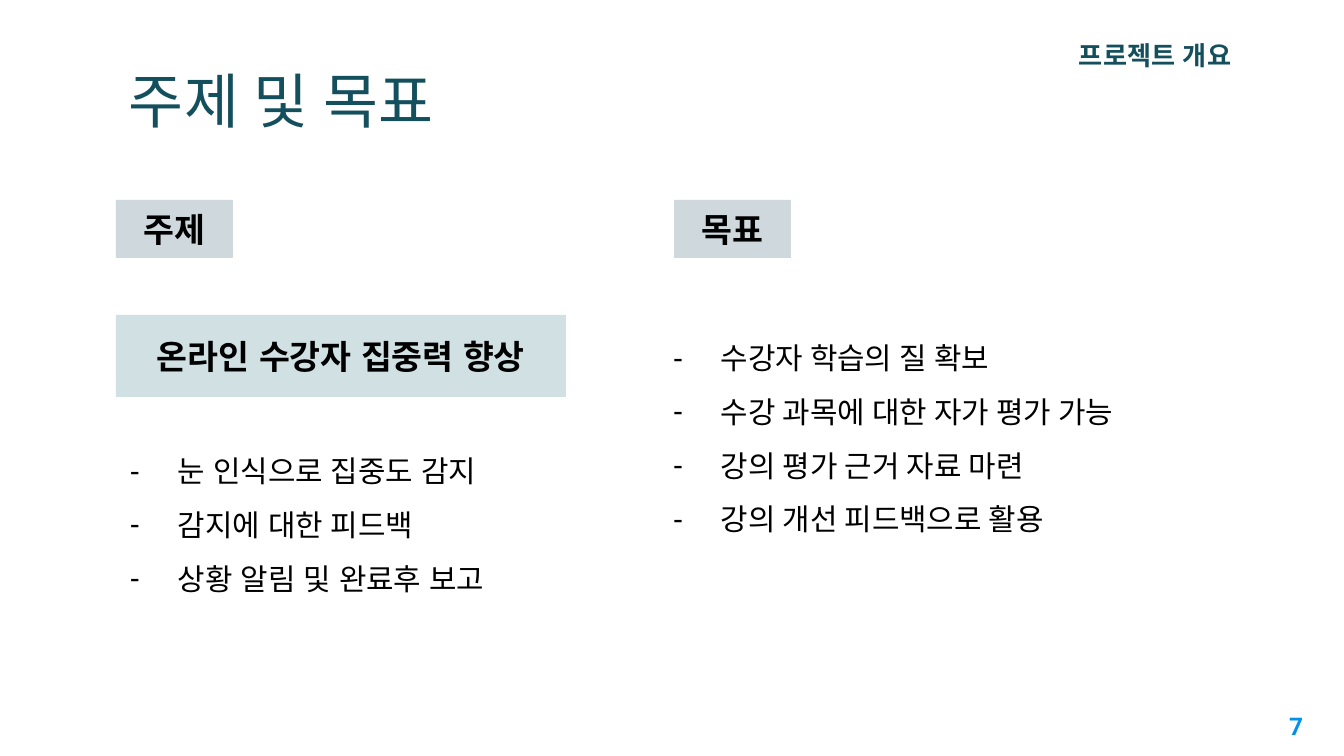
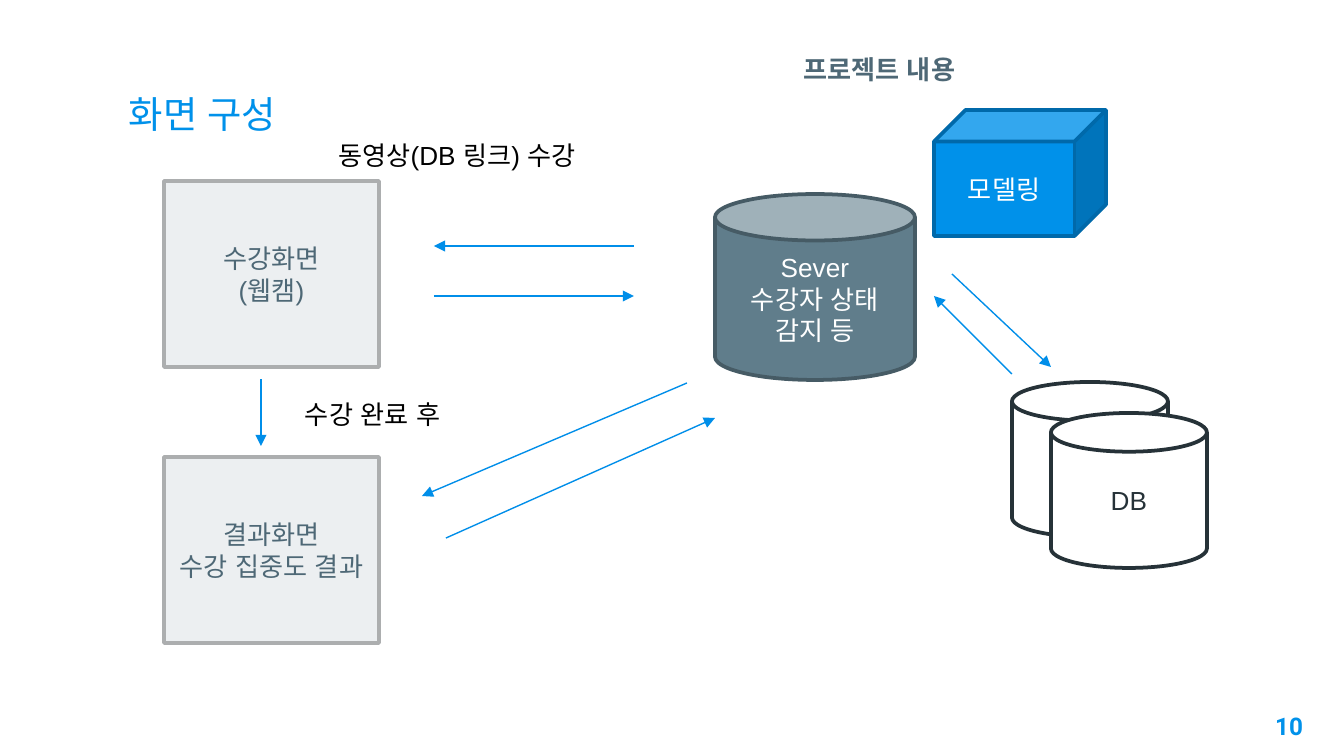
from lxml import etree
from pptx import Presentation
from pptx.dml.color import RGBColor
from pptx.enum.shapes import MSO_CONNECTOR, MSO_SHAPE
from pptx.enum.text import MSO_ANCHOR, MSO_AUTO_SIZE, PP_ALIGN
from pptx.oxml.ns import qn
from pptx.util import Pt

RECT, CAN, CUBE = MSO_SHAPE.RECTANGLE, MSO_SHAPE.CAN, MSO_SHAPE.CUBE
STRAIGHT = MSO_CONNECTOR.STRAIGHT
LEFT, CENTER, RIGHT = PP_ALIGN.LEFT, PP_ALIGN.CENTER, PP_ALIGN.RIGHT
TOP, MIDDLE, BOTTOM = MSO_ANCHOR.TOP, MSO_ANCHOR.MIDDLE, MSO_ANCHOR.BOTTOM

PX = 6804  # EMU in one pixel
BODY_FONT, ACCENT_FONT, TITLE_FONT = "Arial", "Roboto", "Roboto Slab"
BLACK, WHITE, INK = "000000", "FFFFFF", "263238"
TEAL, BLUE, SLATE = "134F5C", "0091EA", "4E6876"
ARROW_BLUE = "008EE9"


def color(value):
    return RGBColor.from_string(value)


def write(box, text, size=14, font=BODY_FONT, ink=BLACK, bold=False, align=LEFT,
          anchor=TOP, inset_y=7, spacing=1.0, dashed=False):
    frame = box.text_frame
    frame.word_wrap = True
    frame.auto_size = MSO_AUTO_SIZE.NONE
    frame.vertical_anchor = anchor
    frame.margin_left = frame.margin_right = 13 * PX
    frame.margin_top = frame.margin_bottom = inset_y * PX
    frame.text = text
    for para in frame.paragraphs:
        para.alignment = align
        para.line_spacing = spacing
        para.space_before = para.space_after = Pt(0)
        if dashed:
            props = para._p.get_or_add_pPr()
            props.set("marL", str(67 * PX))
            props.set("indent", str(-48 * PX))
            etree.SubElement(props, qn("a:buChar")).set("char", "-")
        for span in para.runs:
            span.font.size = Pt(size)
            span.font.bold = bold
            span.font.name = font
            span.font.color.rgb = color(ink)
            for script in ("a:ea", "a:cs"):
                etree.SubElement(span._r.rPr, qn(script)).set("typeface", font)


deck = Presentation()
deck.slide_width, deck.slide_height = 1344 * PX, 756 * PX
TWO_CONTENT, TITLE_ONLY = deck.slide_layouts[3], deck.slide_layouts[5]

# Shared frame: title, section label, page number
frames = [
    (TWO_CONTENT, "주제 및 목표", 32, TEAL, "프로젝트 개요", (1066, 32), TEAL, "7"),
    (TITLE_ONLY, "화면 구성", 20, BLUE, "프로젝트 내용", (790, 46), SLATE, "10"),
]
pages = []
for layout, heading, size, ink, section, corner, section_ink, number in frames:
    page = deck.slides.add_slide(layout)
    pages.append(page)
    title = page.shapes.title
    title.left, title.top, title.width, title.height = [
        n * PX for n in (116, 46, 1113, 103)]
    write(title, heading, size=size, font=TITLE_FONT, ink=ink, anchor=BOTTOM,
          inset_y=13)
    box = page.shapes.add_textbox(*[n * PX for n in (*corner, 192, 46)])
    write(box, section, ink=section_ink, bold=True)
    box = page.shapes.add_textbox(*[n * PX for n in (1235, 698, 81, 58)])
    write(box, number, size=13, font=ACCENT_FONT, ink=BLUE, bold=True,
          align=RIGHT, inset_y=13)

overview, diagram = pages

# Overview: filled labels
labels = [
    ("주제", (116, 200, 117, 58), "CFD8DC"),
    ("목표", (674, 200, 117, 58), "CFD8DC"),
    ("온라인 수강자 집중력 향상", (116, 315, 450, 82), "D0E0E3"),
]
for text, place, fill in labels:
    label = overview.shapes.add_shape(RECT, *[n * PX for n in place])
    label.shadow.inherit = False
    label.fill.solid()
    label.fill.fore_color.rgb = color(fill)
    label.line.fill.background()
    write(label, text, size=18, bold=True, align=CENTER, anchor=MIDDLE, inset_y=13)

# Overview: dashed lists
lists = [
    (1, (98, 422, 497, 254), BODY_FONT,
     ["눈 인식으로 집중도 감지", "감지에 대한 피드백", "상황 알림 및 완료후 보고"]),
    (2, (641, 309, 594, 276), ACCENT_FONT,
     ["수강자 학습의 질 확보", "수강 과목에 대한 자가 평가 가능",
      "강의 평가 근거 자료 마련", "강의 개선 피드백으로 활용"]),
]
for index, place, font, items in lists:
    body = overview.placeholders[index]
    body.left, body.top, body.width, body.height = [n * PX for n in place]
    write(body, "\n".join(items), size=16, font=font, inset_y=13, spacing=1.5,
          dashed=True)

# Diagram: screens, server, model and databases
SCREEN = ("ECEFF1", "ACAEAF", SLATE)
SERVER = ("607D8B", "465B65", WHITE)
MODEL = (BLUE, "0069AA", WHITE)
DATABASE = (WHITE, INK, INK)
nodes = [
    (RECT, (164, 181, 215, 186), SCREEN, "수강화면\n(웹캠)"),
    (RECT, (164, 457, 215, 186), SCREEN, "결과화면\n수강 집중도 결과"),
    (CAN, (715, 194, 200, 186), SERVER, "Sever\n수강자 상태 감지 등"),
    (CUBE, (934, 110, 172, 126), MODEL, "모델링"),
    (CAN, (1012, 382, 156, 155), DATABASE, ""),
    (CAN, (1051, 413, 156, 155), DATABASE, "DB"),
]
for kind, place, (fill, edge, ink), text in nodes:
    node = diagram.shapes.add_shape(kind, *[n * PX for n in place])
    node.shadow.inherit = False
    node.fill.solid()
    node.fill.fore_color.rgb = color(fill)
    node.line.color.rgb = color(edge)
    node.line.width = Pt(2)
    if text:
        write(node, text, ink=ink, align=CENTER, anchor=MIDDLE)

# Diagram: arrows, each from start to head
arrows = [
    (634, 246, 434, 246), (434, 296, 634, 296),
    (261, 379, 261, 446),
    (687, 383, 422, 496), (446, 538, 715, 418),
    (952, 274, 1051, 367), (1012, 374, 934, 296),
]
for ends in arrows:
    arrow = diagram.shapes.add_connector(STRAIGHT, *[n * PX for n in ends])
    arrow.line.color.rgb = color(ARROW_BLUE)
    arrow.line.width = Pt(0.75)
    etree.SubElement(arrow.line._get_or_add_ln(), qn("a:tailEnd")).set(
        "type", "triangle")
    etree.SubElement(arrow._element.spPr, qn("a:effectLst"))

# Diagram: step captions
for text, place in [("동영상(DB 링크) 수강", (325, 132, 281, 46)),
                    ("수강 완료 후", (292, 391, 173, 46))]:
    caption = diagram.shapes.add_textbox(*[n * PX for n in place])
    write(caption, text)

deck.save("out.pptx")
